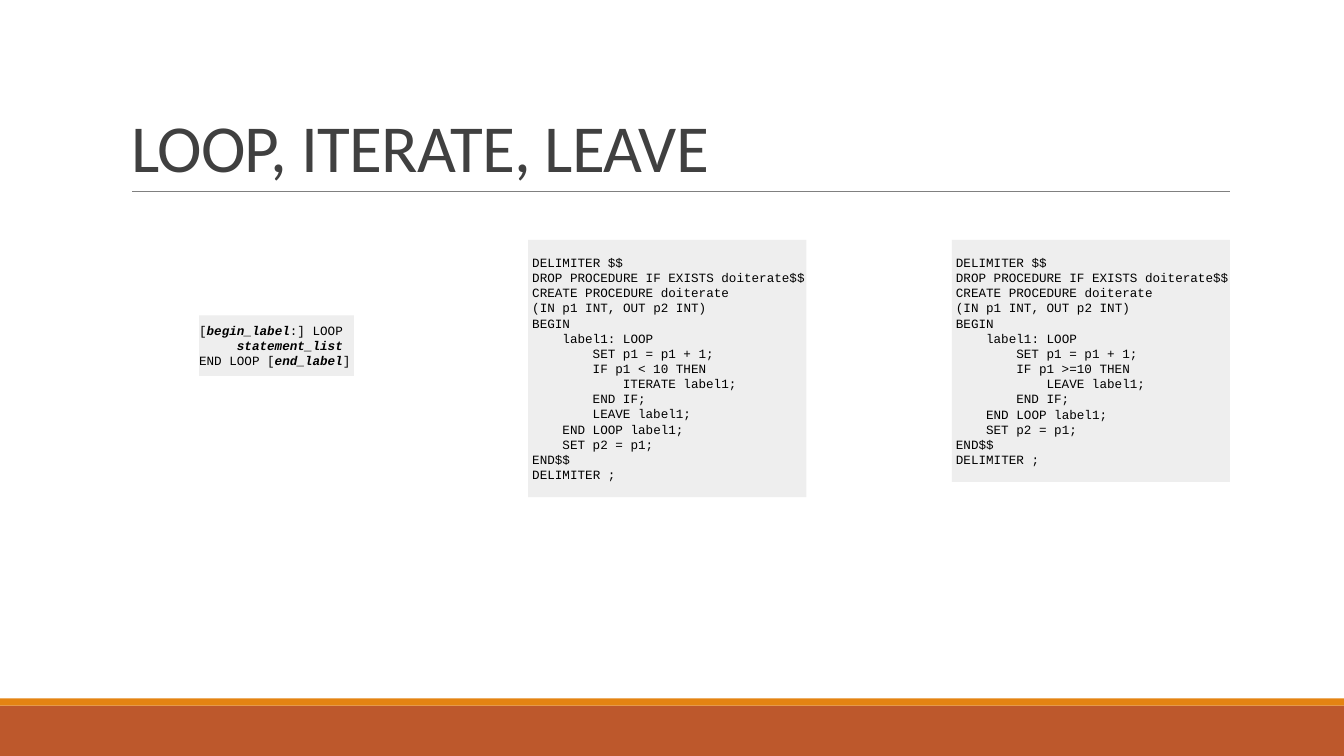
from pptx import Presentation
from pptx.dml.color import RGBColor
from pptx.enum.shapes import MSO_CONNECTOR, MSO_SHAPE
from pptx.enum.text import MSO_ANCHOR, PP_ALIGN
from pptx.oxml.ns import qn
from pptx.util import Inches, Pt
from lxml import etree

RUST = RGBColor(0xBD, 0x58, 0x2C)
ORANGE = RGBColor(0xE4, 0x83, 0x12)
GRAY = RGBColor(0x80, 0x80, 0x80)
CHARCOAL = RGBColor(0x40, 0x40, 0x40)
CODE_FILL = RGBColor(0xEE, 0xEE, 0xEE)
BLACK = RGBColor(0, 0, 0)

# The grid has ten columns and ten rows to the inch.
CELL = Inches(0.1)
COLUMNS, ROWS = 133.33, 75
CODE_SIZE = 9
CHAR_WIDTH = Pt(CODE_SIZE * 0.6)
TAB = 4


def grid(*cells):
    return [round(CELL * count) for count in cells]


def add_bar(page, box, color):
    bar = page.shapes.add_shape(MSO_SHAPE.RECTANGLE, *grid(*box))
    bar.shadow.inherit = False
    bar.fill.solid()
    bar.fill.fore_color.rgb = color
    bar.line.fill.background()
    return bar


def add_span(para, text, font="Courier New", size=CODE_SIZE, color=BLACK,
             strong=False, spacing=0):
    span = para.add_run()
    span.text = text
    span.font.name = font
    span.font.size = Pt(size)
    span.font.color.rgb = color
    span.font.bold = span.font.italic = strong
    if spacing:
        span.font._element.set("spc", str(round(spacing * 100)))


def set_frame(shape, anchor, insets, wrap):
    frame = shape.text_frame
    frame.word_wrap = wrap
    frame.vertical_anchor = anchor
    (frame.margin_left, frame.margin_top,
     frame.margin_right, frame.margin_bottom) = grid(*insets)
    return frame


def add_code(page, box, lines, insets):
    """Fill a gray panel with lines of (indent in characters, spans).

    Every second span, starting with the second, is bold italic.
    """
    panel = add_bar(page, box, CODE_FILL)
    frame = set_frame(panel, MSO_ANCHOR.MIDDLE, insets, wrap=False)
    for number, (indent, spans) in enumerate(lines):
        para = frame.add_paragraph() if number else frame.paragraphs[0]
        para.alignment = PP_ALIGN.LEFT
        properties = para._p.get_or_add_pPr()
        properties.set("marL", str(indent * CHAR_WIDTH))
        properties.set("indent", "0")
        for position, text in enumerate(spans):
            if text:
                add_span(para, text, strong=position % 2 == 1)


def add_footer(page, box):
    left, top, width, height = box
    stripe = 0.7
    add_bar(page, (left, top + stripe, width, height - stripe), RUST)
    add_bar(page, (left, top, width, stripe), ORANGE)


def add_title(page, box, text):
    left, top, width, height = box
    bottom = top + height
    rule = page.shapes.add_connector(
        MSO_CONNECTOR.STRAIGHT, *grid(left + 1.05, bottom, left + width, bottom))
    rule.line.color.rgb = GRAY
    rule.line.width = Pt(0.5)
    etree.SubElement(rule._element.spPr, qn("a:effectLst"))
    title = page.shapes.add_textbox(*grid(*box))
    frame = set_frame(title, MSO_ANCHOR.BOTTOM, (1, 0.5, 1, 0.5), wrap=True)
    para = frame.paragraphs[0]
    para.line_spacing = 0.85
    add_span(para, text, font="Calibri", size=48, color=CHARCOAL, spacing=-0.5)


def loop_procedure(steps):
    """Wrap the steps that follow the increment in the whole procedure."""
    lines = [
        (0, "DELIMITER $$"),
        (0, "DROP PROCEDURE IF EXISTS doiterate$$"),
        (0, "CREATE PROCEDURE doiterate"),
        (0, "(IN p1 INT, OUT p2 INT)"),
        (0, "BEGIN"),
        (1, "label1: LOOP"),
        (2, "SET p1 = p1 + 1;"),
        *steps,
        (1, "END LOOP label1;"),
        (1, "SET p2 = p1;"),
        (0, "END$$"),
        (0, "DELIMITER ;"),
    ]
    return [(level * TAB, [text]) for level, text in lines]


SYNTAX = [
    (0, ["[", "begin_label", ":] LOOP"]),
    (5, ["", "statement_list"]),
    (0, ["END LOOP [", "end_label", "]"]),
]
ITERATE_STEPS = [
    (2, "IF p1 < 10 THEN"),
    (3, "ITERATE label1;"),
    (2, "END IF;"),
    (2, "LEAVE label1;"),
]
LEAVE_STEPS = [
    (2, "IF p1 >=10 THEN"),
    (3, "LEAVE label1;"),
    (2, "END IF;"),
]


def add_examples(page, box):
    """Place the procedures at the left and right ends of the box."""
    left, top, width, height = box
    panel, line = 27.6, 1.5
    lefts = left, left + width - panel
    for start, steps in zip(lefts, (ITERATE_STEPS, LEAVE_STEPS)):
        drop = (len(ITERATE_STEPS) - len(steps)) * line
        add_code(page, (start, top, panel, height - drop),
                 loop_procedure(steps), (0.4, 1.4, 0, 1.4))


def main():
    deck = Presentation()
    deck.slide_width, deck.slide_height = grid(COLUMNS, ROWS)
    page = deck.slides.add_slide(deck.slide_layouts[6])
    add_footer(page, (0, 69.3, COLUMNS, 5.7))
    add_title(page, (12.05, 3.1, 110, 15.9), "LOOP, ITERATE, LEAVE")
    add_code(page, (19.75, 31.3, 15.35, 6), SYNTAX, (0, 0, 0.3, 0))
    add_examples(page, (52.4, 23.8, 69.63, 25.52))
    deck.save("out.pptx")


if __name__ == "__main__":
    main()
